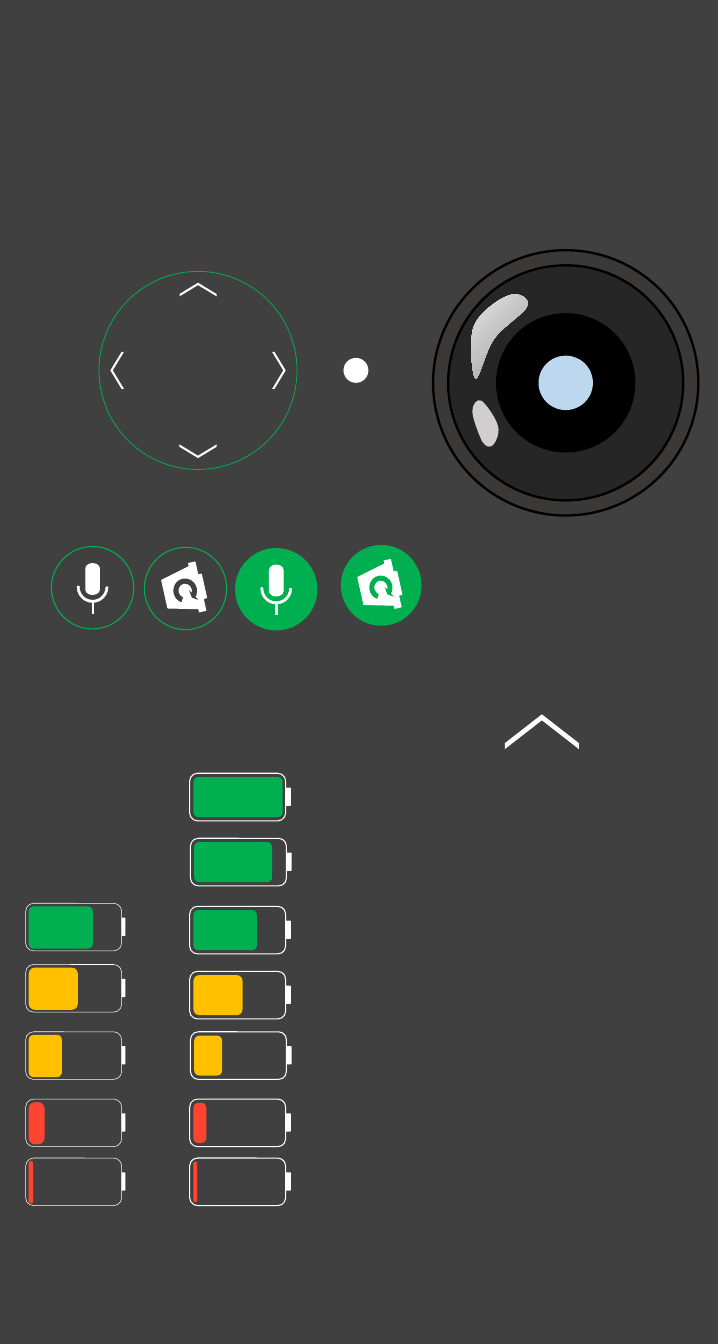
from math import cos, radians, sin
from typing import NamedTuple, Optional

from pptx import Presentation
from pptx.dml.color import RGBColor
from pptx.enum.shapes import MSO_CONNECTOR, MSO_SHAPE
from pptx.oxml import parse_xml
from pptx.oxml.ns import nsdecls, qn
from pptx.shapes.autoshape import Shape
from pptx.shapes.shapetree import GroupShapes
from pptx.util import Inches, Pt

OVAL = MSO_SHAPE.OVAL
RECT = MSO_SHAPE.RECTANGLE
ROUND = MSO_SHAPE.ROUNDED_RECTANGLE
ANGLE = MSO_SHAPE.CHEVRON
PILL = MSO_SHAPE.FLOWCHART_TERMINATOR
ARC = MSO_SHAPE.BLOCK_ARC
TRAP = MSO_SHAPE.TRAPEZOID
TURN = MSO_SHAPE.CIRCULAR_ARROW
STRAIGHT = MSO_CONNECTOR.STRAIGHT

WHITE = RGBColor(0xFF, 0xFF, 0xFF)
BLACK = RGBColor(0x00, 0x00, 0x00)
GROUND = RGBColor(0x40, 0x40, 0x40)
GREEN = RGBColor(0x00, 0xB0, 0x50)
AMBER = RGBColor(0xFF, 0xC0, 0x00)
RED = RGBColor(0xFF, 0x45, 0x31)
RIM = RGBColor(0x3B, 0x38, 0x38)
GLASS = RGBColor(0x26, 0x26, 0x26)
PUPIL = RGBColor(0xBD, 0xD7, 0xEE)
GLINT = RGBColor(0xD0, 0xCE, 0xCE)
SHADES = ((0, "898888"), (50, "C3C2C2"), (100, "E7E6E6"))


class Look(NamedTuple):
    """Fill and outline of a shape."""
    fill: Optional[RGBColor] = None
    line: Optional[RGBColor] = None
    width: float = 1


class Part(NamedTuple):
    """A preset shape; place and size are in inches."""
    kind: MSO_SHAPE
    left: float
    top: float
    wide: float
    high: float
    look: Look
    turn: float = 0
    adjust: tuple = ()


class Style(NamedTuple):
    """Measures shared by one column of batteries."""
    inset: float
    high: float
    pin: float
    line: float


class Cell(NamedTuple):
    """One battery with its charge."""
    left: float
    top: float
    charge: float
    color: RGBColor
    bend: float
    style: Style


PLAIN = Look(WHITE)
EDGED = Look(WHITE, WHITE)
RING = Look(line=GREEN)
DISC = Look(GREEN)
THIN = Style(0.04, 0.56, 0.05, 0.5)
BOLD = Style(0.05, 0.53, 0.07, 1)


def paint(shape: Shape, look: Look) -> None:
    """Set fill and outline, and drop the shadow."""
    shape.shadow.inherit = False
    if look.fill is None:
        shape.fill.background()
    else:
        shape.fill.solid()
        shape.fill.fore_color.rgb = look.fill
    if look.line is None:
        shape.line.fill.background()
    else:
        shape.line.color.rgb = look.line
        shape.line.width = Pt(look.width)


def draw(tree: GroupShapes, part: Part, x: float = 0, y: float = 0,
         scale: float = 1) -> None:
    """Draw a part, scaled and then moved by x and y."""
    shape = tree.add_shape(
        part.kind, Inches(x + part.left * scale), Inches(y + part.top * scale),
        Inches(part.wide * scale), Inches(part.high * scale))
    shape.rotation = part.turn
    for i, value in enumerate(part.adjust):
        shape.adjustments[i] = value
    paint(shape, part.look)


def disc(tree: GroupShapes, x: float, y: float, size: float, look: Look) -> None:
    """Draw a circle around the centre x, y."""
    draw(tree, Part(OVAL, x - size / 2, y - size / 2, size, size, look))


def mic(tree: GroupShapes, x: float, y: float, look: Look) -> None:
    """Draw a microphone button."""
    for part in (Part(OVAL, 0, 0, 1.09, 1.09, look),
                 Part(PILL, 0.34, 0.34, 0.41, 0.18, EDGED, 90),
                 Part(ARC, 0.34, 0.33, 0.41, 0.41, Look(WHITE, WHITE, 0.5),
                      180, (108, 2.198, 0.071))):
        draw(tree, part, x, y)
    stem = tree.add_connector(STRAIGHT, Inches(x + 0.55), Inches(y + 0.74),
                              Inches(x + 0.55), Inches(y + 0.89))
    stem.line.color.rgb = WHITE
    stem.line.width = Pt(2.25)
    stem._element.spPr.append(parse_xml(f"<a:effectLst {nsdecls('a')}/>"))


def flip(tree: GroupShapes, x: float, y: float, look: Look, scale: float) -> None:
    """Draw a button with a tilted box and a round arrow."""
    back = look.fill or GROUND
    for part in (Part(OVAL, 0, 0, 1.09, 1.09, look),
                 Part(RECT, 0.65, 0.19, 0.1, 0.67, PLAIN, 347.4),
                 Part(TRAP, 0.18, 0.37, 0.58, 0.41, EDGED, 257.4),
                 Part(RECT, 0.71, 0.36, 0.08, 0.32, EDGED, 347.4),
                 Part(TURN, 0.32, 0.36, 0.44, 0.43, Look(back), 77.4,
                      (0.155, 11.915, 185.256, 18.601, 0.213))):
        draw(tree, part, x, y, scale)


def power(tree: GroupShapes, cell: Cell) -> None:
    """Draw a battery: case, charge and pin."""
    style = cell.style
    for part in (Part(ROUND, 0, 0, 1.27, 0.63, Look(line=WHITE, width=style.line)),
                 Part(ROUND, style.inset, style.inset, cell.charge, style.high,
                      Look(cell.color), 0, (cell.bend,)),
                 Part(ROUND, 1.27, 0.19, style.pin, 0.24, PLAIN)):
        draw(tree, part, cell.left, cell.top)


def blob(tree: GroupShapes, knots: tuple) -> Shape:
    """Draw a closed outline, each three knots after the first one curve."""
    points = [(Inches(x), Inches(y)) for x, y in knots]
    build = tree.build_freeform(*points[0], scale=1.0)
    build.add_line_segments(points[1:], close=True)
    shape = build.convert_to_shape()
    lines = list(shape._element.iter(qn("a:lnTo")))
    for i in range(0, len(lines), 3):
        curve = parse_xml(f"<a:cubicBezTo {nsdecls('a')}/>")
        lines[i].addprevious(curve)
        for line in lines[i:i + 3]:
            curve.append(line[0])
            line.getparent().remove(line)
    paint(shape, Look(GLINT))
    return shape


def shade(shape: Shape) -> None:
    """Replace the solid fill by a round gradient."""
    stops = "".join(f'<a:gs pos="{pos * 1000}"><a:srgbClr val="{tone}"/></a:gs>'
                    for pos, tone in SHADES)
    fill = parse_xml(
        f'<a:gradFill {nsdecls("a")}><a:gsLst>{stops}</a:gsLst>'
        '<a:path path="circle"><a:fillToRect l="100000" t="100000"/></a:path>'
        '</a:gradFill>')
    props = shape._element.spPr
    props.replace(props.find(qn("a:solidFill")), fill)


deck = Presentation()
deck.slide_width, deck.slide_height = Inches(9.5), Inches(17.78)
slide = deck.slides.add_slide(deck.slide_layouts[6])
slide.background.fill.solid()
slide.background.fill.fore_color.rgb = GROUND
root = slide.shapes

pad = root.add_group_shape().shapes
disc(pad, 2.62, 4.9, 2.62, Look(line=GREEN, width=0.75))
for turn in (270, 90, 0, 180):
    mid = 2.62 + 1.07 * cos(radians(turn)), 4.9 + 1.07 * sin(radians(turn))
    draw(pad, Part(ANGLE, -0.09, -0.245, 0.18, 0.49, PLAIN, turn, (0.827,)), *mid)
disc(root, 4.71, 4.9, 0.33, PLAIN)

lens = root.add_group_shape().shapes
for size, look in ((3.51, Look(RIM, BLACK, 2.25)), (3.11, Look(GLASS, BLACK, 2.25)),
                   (1.83, Look(BLACK, BLACK)), (0.72, Look(PUPIL))):
    disc(lens, 7.485, 5.065, size, look)
blob(lens, ((6.38, 5.84), (6.34, 5.76), (6.25, 5.53), (6.25, 5.44), (6.25, 5.35),
            (6.31, 5.27), (6.37, 5.3), (6.43, 5.34), (6.57, 5.54), (6.59, 5.64),
            (6.62, 5.74), (6.55, 5.87), (6.51, 5.9), (6.46, 5.92), (6.43, 5.91),
            (6.38, 5.84)))
shade(blob(lens, (
    (6.73, 3.91), (6.61, 3.95), (6.34, 4.13), (6.27, 4.32), (6.2, 4.5), (6.25, 4.98),
    (6.29, 5.01), (6.34, 5.03), (6.42, 4.64), (6.54, 4.48), (6.65, 4.32), (6.95, 4.14),
    (6.98, 4.04), (7.01, 3.94), (6.85, 3.86), (6.73, 3.91))))

mic(root.add_group_shape().shapes, 0.68, 7.23, RING)
flip(root.add_group_shape().shapes, 1.91, 7.24, RING, 1)
mic(root.add_group_shape().shapes, 3.11, 7.25, DISC)
flip(root.add_group_shape().shapes, 4.51, 7.21, DISC, 0.98)

for cell in (Cell(2.52, 11.09, 1.03, GREEN, 0.117, BOLD),
             Cell(0.34, 12.76, 0.65, AMBER, 0.145, THIN),
             Cell(0.34, 11.95, 0.85, GREEN, 0.117, THIN),
             Cell(0.34, 13.65, 0.44, AMBER, 0.145, THIN),
             Cell(0.34, 14.54, 0.21, RED, 0.403, THIN),
             Cell(0.34, 15.32, 0.06, RED, 0.5, THIN),
             Cell(2.51, 10.23, 1.18, GREEN, 0.117, BOLD),
             Cell(2.51, 11.99, 0.84, GREEN, 0.117, BOLD),
             Cell(2.51, 12.85, 0.65, AMBER, 0.144, BOLD),
             Cell(2.52, 13.65, 0.37, AMBER, 0.185, BOLD),
             Cell(2.51, 14.54, 0.17, RED, 0.377, BOLD),
             Cell(2.51, 15.32, 0.05, RED, 0.377, BOLD)):
    power(root.add_group_shape().shapes, cell)
draw(root, Part(ANGLE, 6.94, 9.19, 0.46, 0.98, PLAIN, 270, (0.829,)))

deck.save("out.pptx")
